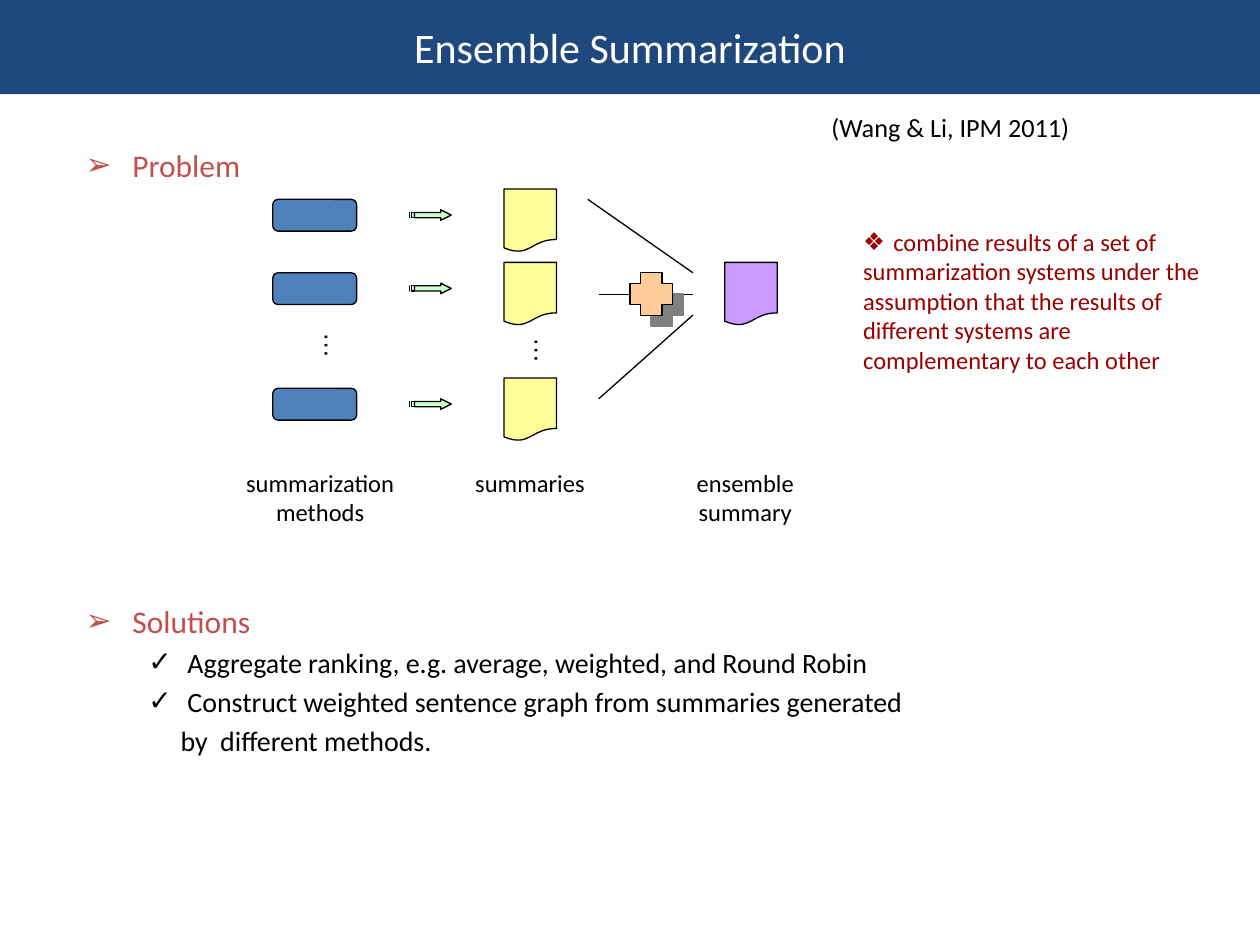
from lxml import etree
from pptx import Presentation
from pptx.dml.color import RGBColor
from pptx.enum.shapes import MSO_CONNECTOR, MSO_SHAPE
from pptx.enum.text import MSO_ANCHOR, PP_ALIGN
from pptx.oxml.ns import qn
from pptx.util import Cm, Pt

DOCUMENT = MSO_SHAPE.FLOWCHART_DOCUMENT
METHOD = MSO_SHAPE.FLOWCHART_ALTERNATE_PROCESS
STRAIGHT = MSO_CONNECTOR.STRAIGHT
LEFT, CENTER = PP_ALIGN.LEFT, PP_ALIGN.CENTER

COLORS = {
    "bar": "1F497D", "white": "FFFFFF", "black": "000000", "heading": "C0504D",
    "note": "990000", "method": "4F81BD", "summary": "FFFF99", "arrow": "CCFFCC",
    "plus": "FFCC99", "ensemble": "CC99FF", "shadow": "808080",
}
RGB = {name: RGBColor.from_string(code) for name, code in COLORS.items()}


def style(shape, fill):
    """Give a diagram shape its flat fill and thin black outline."""
    shape.shadow.inherit = False
    shape.fill.solid()
    shape.fill.fore_color.rgb = RGB[fill]
    shape.line.color.rgb = RGB["black"]
    shape.line.width = Pt(0.75)


def add_text(left, top, width, height, lines, align=LEFT):
    """Add a text box; a line is (text, size, color, font, bullet, margin, indent)."""
    box = page.shapes.add_textbox(Cm(left), Cm(top), Cm(width), Cm(height))
    frame = box.text_frame
    frame.word_wrap = True
    for number, (text, size, color, font, bullet, margin, indent) in enumerate(lines):
        para = frame.add_paragraph() if number else frame.paragraphs[0]
        para.text = text
        para.alignment = align
        para.font.size = Pt(size)
        para.font.name = font
        para.font.color.rgb = RGB[color]
        if number:
            para.space_before = Pt(size * 0.2)
        properties = para._p.get_or_add_pPr()
        properties.set("marL", str(Cm(margin)))
        properties.set("indent", str(Cm(indent)))
        if bullet:
            etree.SubElement(properties, qn("a:buFont")).set("typeface", "Arial")
            etree.SubElement(properties, qn("a:buChar")).set("char", bullet)
    return box


deck = Presentation()
deck.slide_width, deck.slide_height = Cm(25.4), Cm(19.05)
page = deck.slides.add_slide(deck.slide_layouts[6])
shapes = page.shapes

# Headings and solutions
add_text(1.47, 2.82, 22.86, 0.95,
         [("Problem", 18, "heading", "Calibri", "➢", 0.95, -0.95)])
add_text(1.47, 12.01, 22.86, 4, [
    ("Solutions", 18, "heading", "Calibri", "➢", 0.95, -0.95),
    ("Aggregate ranking, e.g. average, weighted, and Round Robin",
     16, "black", "Calibri", "✓", 2.06, -0.79),
    ("Construct weighted sentence graph from summaries generated",
     16, "black", "Calibri", "✓", 2.06, -0.79),
    ("by  different methods.", 16, "black", "Calibri", None, 1.92, 0),
])

# Title bar
bar = shapes.add_shape(MSO_SHAPE.RECTANGLE, 0, 0, deck.slide_width, Cm(1.9))
bar.shadow.inherit = False
bar.fill.solid()
bar.fill.fore_color.rgb = RGB["bar"]
bar.line.fill.background()
bar.text_frame.vertical_anchor = MSO_ANCHOR.MIDDLE
title = bar.text_frame.paragraphs[0]
title.text = "Ensemble Summarization"
title.alignment = CENTER
title.font.size = Pt(24)
title.font.name = "Calibri"
title.font.color.rgb = RGB["white"]

# Each row: method, striped arrow, summary
ARROW_UNIT = Cm(2.54) / 48
ARROW_HEAD = [(12, 0), (12, 1), (2.5, 1), (2.5, 3), (12, 3), (12, 4), (16, 2)]
ARROW_STRIPES = [[(a, 1), (a, 3), (b, 3), (b, 1)] for a, b in ((1, 2), (0, 0.5))]
for row_top in (3.81, 5.29, 7.62):
    method = shapes.add_shape(METHOD, Cm(5.5), Cm(row_top + 0.21), Cm(1.69), Cm(0.64))
    style(method, "method")

    builder = shapes.build_freeform(*ARROW_HEAD[0], scale=ARROW_UNIT)
    builder.add_line_segments(ARROW_HEAD[1:])
    for stripe in ARROW_STRIPES:
        builder.move_to(*stripe[0])
        builder.add_line_segments(stripe[1:])
    style(builder.convert_to_shape(Cm(8.25), Cm(row_top + 0.42)), "arrow")

    summary = shapes.add_shape(DOCUMENT, Cm(10.16), Cm(row_top), Cm(1.06), Cm(1.27))
    style(summary, "summary")

for left, top in ((5.93, 6.45), (10.16, 6.56)):
    dots = add_text(left, top, 1.27, 1, [("…", 15, "black", "Arial", None, 0, 0)])
    dots.text_frame._txBody.bodyPr.set("vert", "eaVert")

# Lines merging into the ensemble summary
for x1, y1, x2, y2 in ((11.85, 4.02, 13.97, 5.5),
                       (12.07, 5.93, 13.97, 5.93),
                       (12.07, 8.04, 13.97, 6.35)):
    line = shapes.add_connector(STRAIGHT, Cm(x1), Cm(y1), Cm(x2), Cm(y2))
    line.line.color.rgb = RGB["black"]
    line.line.width = Pt(0.75)
    etree.SubElement(line._element.spPr, qn("a:effectLst"))

plus = shapes.add_shape(MSO_SHAPE.CROSS, Cm(12.7), Cm(5.5), Cm(0.86), Cm(0.86))
plus.adjustments[0] = 0.25
style(plus, "plus")
effects = plus._element.spPr.find(qn("a:effectLst"))
shadow = etree.SubElement(effects, qn("a:outerShdw"), dist=str(Pt(8.5)),
                          dir=str(45 * 60000), algn="ctr", rotWithShape="0")
etree.SubElement(shadow, qn("a:srgbClr")).set("val", COLORS["shadow"])

ensemble = shapes.add_shape(DOCUMENT, Cm(14.61), Cm(5.29), Cm(1.06), Cm(1.27))
style(ensemble, "ensemble")

# Captions
for left, width, caption in ((3.81, 5.29, "summarization methods"),
                             (8.04, 5.29, "summaries"),
                             (13.12, 3.81, "ensemble summary")):
    add_text(left, 9.31, width, 1.45,
             [(caption, 14, "black", "Calibri", None, 0, 0)], CENTER)

# Explanation and citation
note = add_text(17.15, 4.45, 7.83, 3.26,
                [(" ", 14, "note", "Calibri", "❖", 0, 0)])
note_para = note.text_frame.paragraphs[0]
note_para.runs[0].font.name = "Comic Neue"
span = note_para.add_run()
span.text = ("combine results of a set of summarization systems under the assumption "
             "that the results of different systems are complementary to each other")
add_text(16.51, 2.12, 7.41, 0.9,
         [("(Wang & Li, IPM 2011)", 15, "black", "Calibri", None, 0, 0)])

deck.save("out.pptx")
